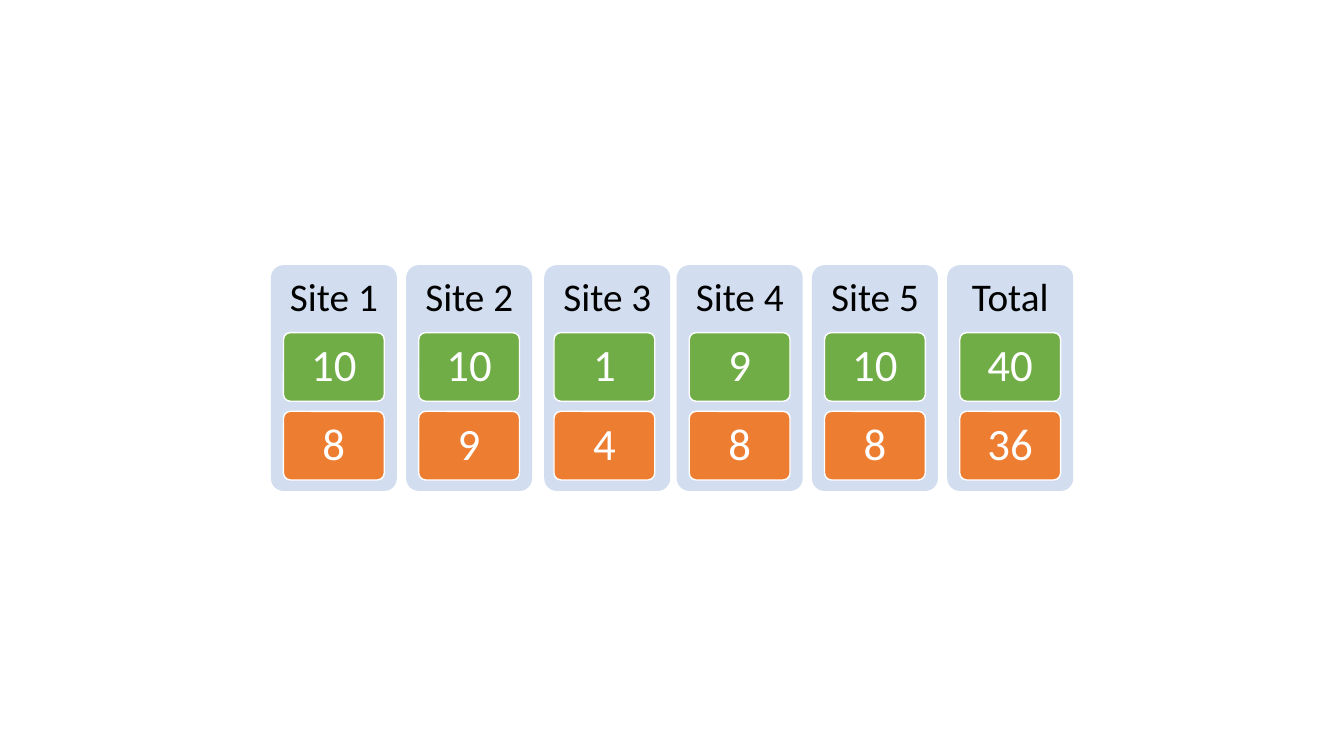
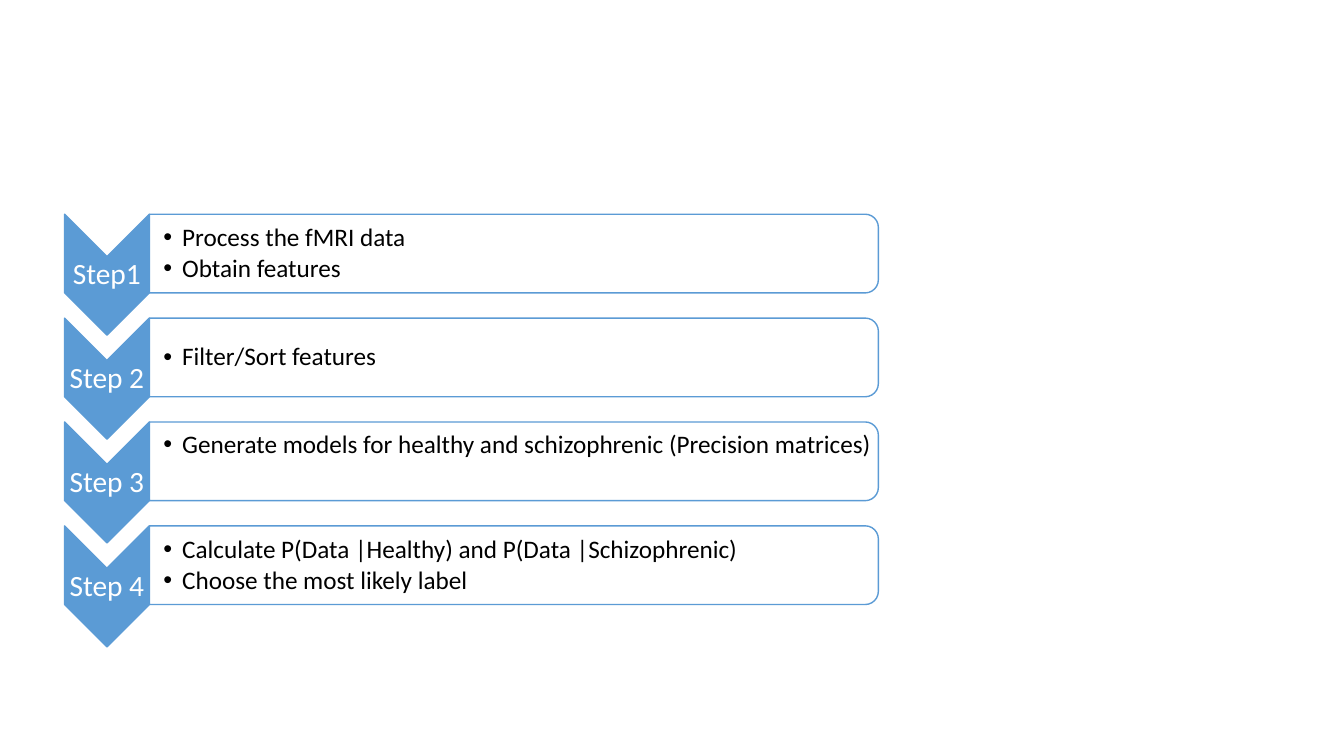
"""Build a slide of site counts and a slide of four processing steps."""
import pptx
import pptx.dml.color
import pptx.enum.shapes
import pptx.enum.text
import pptx.util
from lxml import etree

Pt = pptx.util.Pt
RGBColor = pptx.dml.color.RGBColor
SHAPE = pptx.enum.shapes.MSO_SHAPE
ALIGN = pptx.enum.text.PP_ALIGN
ANCHOR = pptx.enum.text.MSO_ANCHOR

BLACK = RGBColor(0x00, 0x00, 0x00)
WHITE = RGBColor(0xFF, 0xFF, 0xFF)
PALE_BLUE = RGBColor(0xD2, 0xDE, 0xEF)
BLUE = RGBColor(0x5B, 0x9B, 0xD5)
GREEN = RGBColor(0x70, 0xAD, 0x47)
ORANGE = RGBColor(0xED, 0x7D, 0x31)
FONT = "Calibri"


def add_shape(page, kind, left, top, width, height, fill, line=None):
    shape = page.shapes.add_shape(kind, Pt(left), Pt(top), Pt(width), Pt(height))
    shape.shadow.inherit = False
    shape.fill.solid()
    shape.fill.fore_color.rgb = fill
    if line is None:
        shape.line.fill.background()
    else:
        shape.line.color.rgb = line
        shape.line.width = Pt(1)
    return shape


def write_text(box, lines, size, color, align=ALIGN.CENTER):
    frame = box.text_frame
    frame.word_wrap = True
    frame.vertical_anchor = ANCHOR.MIDDLE
    frame.margin_left = frame.margin_right = Pt(0.72)
    frame.margin_top = frame.margin_bottom = Pt(0.72)
    frame.text = "\n".join(lines)
    for para in frame.paragraphs:
        para.alignment = align
        para.line_spacing = 0.9
        para.font.name = FONT
        para.font.size = Pt(size)
        para.font.color.rgb = color
    return frame


deck = pptx.Presentation()
deck.slide_width = Pt(960)
deck.slide_height = Pt(540)
blank = deck.slide_layouts[6]

page = deck.slides.add_slide(blank)
COLUMN_PITCH = 96.62
TILE_PITCH = 56.2
columns = [
    ("Site 1", 10, 8, 0),
    ("Site 2", 10, 9, 0),
    ("Site 3", 1, 4, 2),
    ("Site 4", 9, 8, 0),
    ("Site 5", 10, 8, 0),
    ("Total", 40, 36, 0),
]
for column, (heading, upper, lower, shift) in enumerate(columns):
    left = 193.5 + column * COLUMN_PITCH
    panel_left = left + shift
    panel = add_shape(page, SHAPE.ROUNDED_RECTANGLE, panel_left, 189.4, 90, 161.3, PALE_BLUE)
    panel.adjustments[0] = 0.1
    heading_box = page.shapes.add_textbox(Pt(panel_left), Pt(189.4), Pt(90), Pt(48.2))
    write_text(heading_box, [heading], 28, BLACK)
    for row, (count, fill) in enumerate([(upper, GREEN), (lower, ORANGE)]):
        tile = add_shape(page, SHAPE.ROUNDED_RECTANGLE, left + 9,
                         237.6 + row * TILE_PITCH, 72, 49, fill, WHITE)
        tile.adjustments[0] = 0.1
        write_text(tile, [str(count)], 32, WHITE)

page = deck.slides.add_slide(blank)
STEP_PITCH = 74.2
steps = [
    ("Step1", ["Process the fMRI data", "Obtain features"], ANCHOR.MIDDLE),
    ("Step 2", ["Filter/Sort features"], ANCHOR.MIDDLE),
    ("Step 3", ["Generate models for healthy and schizophrenic (Precision matrices)"], ANCHOR.TOP),
    ("Step 4", ["Calculate P(Data |Healthy) and P(Data |Schizophrenic)",
                "Choose the most likely label"], ANCHOR.MIDDLE),
]
for index, (label, tasks, anchor) in enumerate(steps):
    offset = index * STEP_PITCH
    chevron = add_shape(page, SHAPE.CHEVRON, 33.2, 166 + offset, 86.4, 60.5, BLUE, BLUE)
    chevron.rotation = 90
    label_box = page.shapes.add_textbox(Pt(46.1), Pt(183.4 + offset), Pt(60.5), Pt(25.9))
    write_text(label_box, [label], 21, WHITE)

    card = add_shape(page, SHAPE.ROUND_2_SAME_RECTANGLE, 339, -79.2 + offset, 56.2, 520.6,
                     WHITE, BLUE)
    card.rotation = 90
    card_color = card.fill._xPr.solidFill[0]
    etree.SubElement(card_color, pptx.oxml.ns.qn("a:alpha"), val="90000")

    task_box = page.shapes.add_textbox(Pt(106.6), Pt(156.2 + offset), Pt(517.7), Pt(50.4))
    frame = write_text(task_box, tasks, 18, BLACK, ALIGN.LEFT)
    frame.margin_left = Pt(10)
    frame.vertical_anchor = anchor
    if anchor == ANCHOR.TOP:
        frame.margin_top = Pt(4)
    for para in frame.paragraphs:
        para.space_after = Pt(2.7)
        properties = para._p.get_or_add_pPr()
        properties.set("marL", str(Pt(13.5)))
        properties.set("indent", str(-Pt(13.5)))
        bullet_font = etree.SubElement(properties, pptx.oxml.ns.qn("a:buFont"), typeface="Arial")
        bullet = etree.SubElement(properties, pptx.oxml.ns.qn("a:buChar"), char="•")
        properties.find(pptx.oxml.ns.qn("a:defRPr")).addprevious(bullet_font)
        bullet_font.addnext(bullet)

deck.save("out.pptx")
